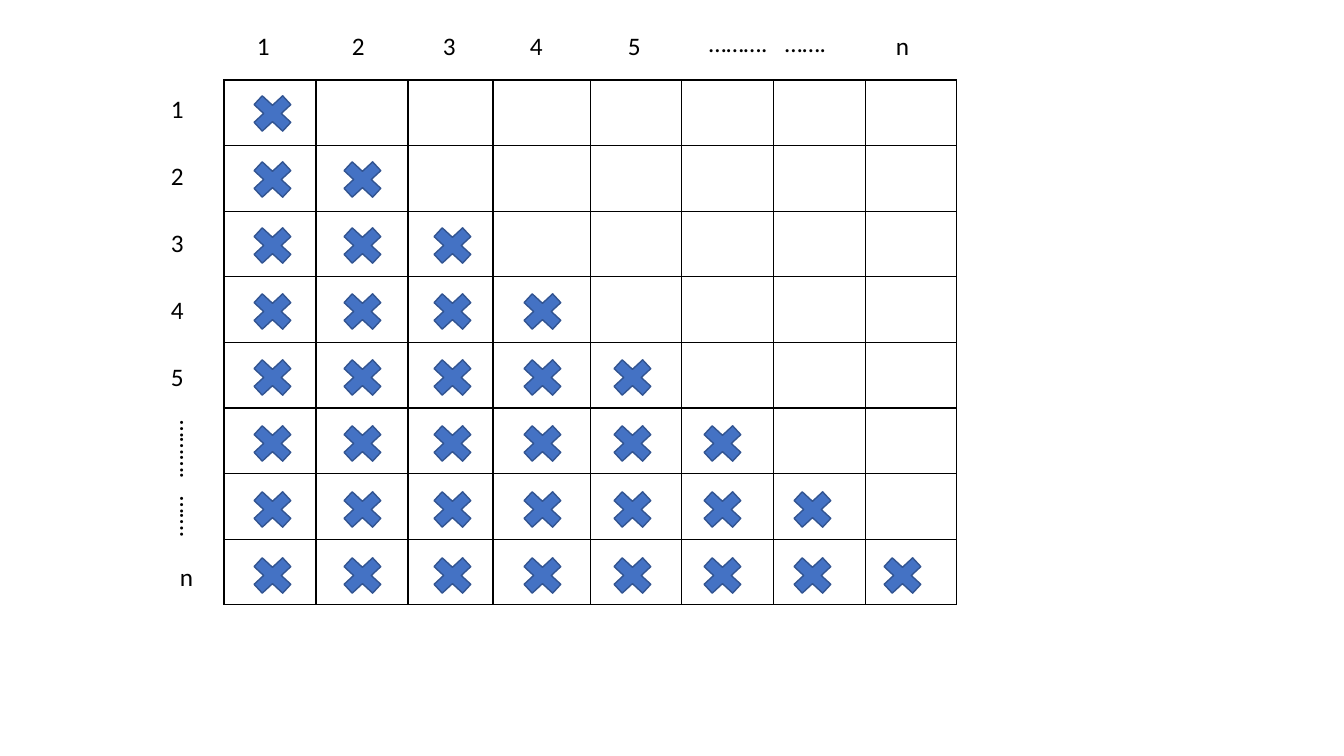
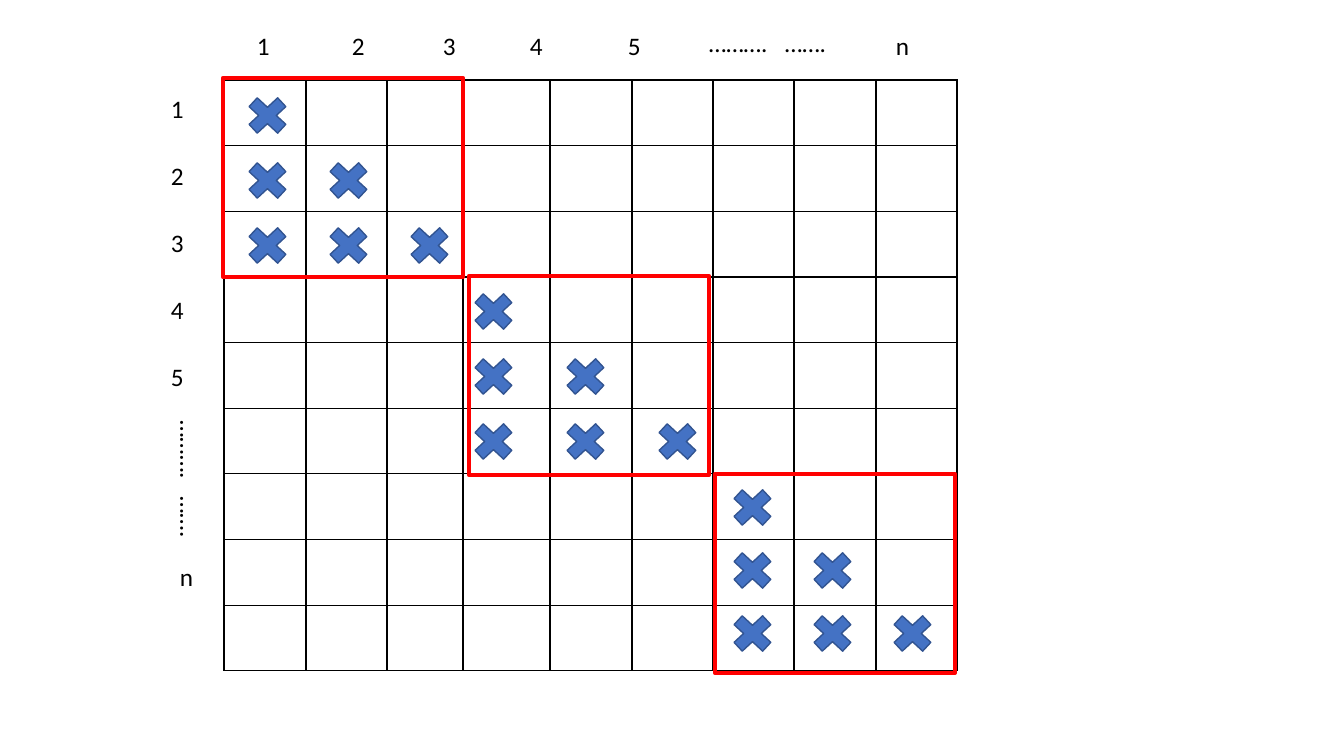
from typing import NamedTuple

from lxml import etree
from pptx import Presentation
from pptx.dml.color import RGBColor
from pptx.enum.shapes import MSO_SHAPE
from pptx.enum.text import MSO_AUTO_SIZE
from pptx.oxml.ns import qn
from pptx.util import Emu, Pt

CROSS = MSO_SHAPE.MATH_MULTIPLY
RECTANGLE = MSO_SHAPE.RECTANGLE
GROW = MSO_AUTO_SIZE.SHAPE_TO_FIT_TEXT

PIXEL = 9144000 / 1008
FONT = "Calibri"
COLORS = {"ink": "000000", "mark": "4472C4", "mark_edge": "325491", "frame": "FF0000"}

GRID_LEFT, GRID_TOP = 224, 80
MARK_WIDTH, MARK_HEIGHT = 55, 51

LABEL_WIDTH, LABEL_HEIGHT = 40, 40
COLUMN_LABEL_LEFTS = [247, 342, 433, 520, 618]
COLUMN_LABEL_TOP = 25
ROW_LABEL_LEFT, ROW_LABEL_TOP, ROW_LABEL_STEP = 161, 88, 67
LAST_COLUMN_LEFT = 886
LAST_ROW_LEFT, LAST_ROW_TOP = 170, 556

DOTS = "……….\t……."
DOTS_WIDTH, DOTS_TAB = 199, 76

FRAME_LEFT, FRAME_TOP = 223, 78
FRAME_WIDTH, FRAME_HEIGHT = 240, 199
FRAME_STEP_RIGHT, FRAME_STEP_DOWN = 246, 198


class Triangle(NamedTuple):
    """A lower triangle of crosses: first corner, steps and number of rows."""

    left: int
    top: int
    step_right: int
    step_down: int
    size: int

    def positions(self):
        """Yield the corner of each cross on or below the diagonal."""
        for row in range(self.size):
            for column in range(row + 1):
                yield (self.left + column * self.step_right,
                       self.top + row * self.step_down)


FULL_TRIANGLE = Triangle(245, 88, 90, 66, size=8)
DIAGONAL_BLOCKS = [
    Triangle(240, 90, 81, 65, size=3),
    Triangle(466, 286, 92, 65, size=3),
    Triangle(725, 482, 80, 63, size=3),
]


def px(length):
    """Turn pixels into EMU."""
    return Emu(round(length * PIXEL))


def color(name):
    """Look up a named colour."""
    return RGBColor.from_string(COLORS[name])


class MatrixDeck:
    """Holds the deck, its style and the current slide."""

    def __init__(self):
        """Start an empty widescreen deck."""
        self.deck = Presentation()
        self.deck.slide_width, self.deck.slide_height = px(1344), px(756)
        self.slide = None

    def add_slide(self):
        """Add a blank slide and make it current."""
        self.slide = self.deck.slides.add_slide(self.deck.slide_layouts[6])

    def border(self, cell):
        """Draw a thin line on all four sides of a cell."""
        properties = cell._tc.get_or_add_tcPr()
        for side in ("a:lnL", "a:lnR", "a:lnT", "a:lnB"):
            line = etree.SubElement(properties, qn(side), w=str(Pt(1)))
            fill = etree.SubElement(line, qn("a:solidFill"))
            etree.SubElement(fill, qn("a:srgbClr"), val=COLORS["ink"])

    def grid(self, column_widths, height):
        """Add an empty ruled table with as many equal rows as columns."""
        count = len(column_widths)
        table = self.slide.shapes.add_table(
            count, count, px(GRID_LEFT), px(GRID_TOP),
            px(sum(column_widths)), px(height)).table
        table.first_row = table.horz_banding = False
        for column, width in zip(table.columns, column_widths):
            column.width = px(width)
        for row in table.rows:
            row.height = px(height / count)
        for cell in table.iter_cells():
            self.border(cell)
            cell.fill.background()

    def shape(self, kind, bounds, line, weight, fill=None):
        """Add an outlined shape, hollow unless a fill is named."""
        shape = self.slide.shapes.add_shape(kind, *map(px, bounds))
        shape.shadow.inherit = False
        shape.line.color.rgb = color(line)
        shape.line.width = Pt(weight)
        if fill:
            shape.fill.solid()
            shape.fill.fore_color.rgb = color(fill)
        else:
            shape.fill.background()

    def crosses(self, triangle):
        """Mark every filled entry of a lower triangle."""
        for left, top in triangle.positions():
            bounds = (left, top, MARK_WIDTH, MARK_HEIGHT)
            self.shape(CROSS, bounds, "mark_edge", 1, "mark")

    def block_frame(self, index):
        """Frame one block, counted along the diagonal."""
        bounds = (FRAME_LEFT + index * FRAME_STEP_RIGHT,
                  FRAME_TOP + index * FRAME_STEP_DOWN,
                  FRAME_WIDTH, FRAME_HEIGHT)
        self.shape(RECTANGLE, bounds, "frame", 3)

    def label(self, text, left, top, width=LABEL_WIDTH, rotation=0):
        """Add a row or column label and return its paragraph."""
        box = self.slide.shapes.add_textbox(
            *map(px, (left, top, width, LABEL_HEIGHT)))
        box.rotation = rotation
        box.text_frame.word_wrap = True
        box.text_frame.auto_size = GROW
        para = box.text_frame.paragraphs[0]
        span = para.add_run()
        span.text = text
        span.font.name = FONT
        span.font.size = Pt(18)
        span.font.color.rgb = color("ink")
        return para

    def dots(self, left, top, rotation=0):
        """Add two groups of dots, set apart by a tab stop."""
        para = self.label(DOTS, left, top, DOTS_WIDTH, rotation)
        tabs = etree.SubElement(para._p.get_or_add_pPr(), qn("a:tabLst"))
        etree.SubElement(tabs, qn("a:tab"), pos=str(px(DOTS_TAB)), algn="l")

    def axis_labels(self):
        """Number the columns and rows 1 to 5, then dots, then n."""
        for index, column_left in enumerate(COLUMN_LABEL_LEFTS):
            number = str(index + 1)
            row_top = ROW_LABEL_TOP + index * ROW_LABEL_STEP
            self.label(number, column_left, COLUMN_LABEL_TOP)
            self.label(number, ROW_LABEL_LEFT, row_top)
        self.dots(699, 22)
        self.dots(91, 490, rotation=90)
        self.label("n", LAST_COLUMN_LEFT, COLUMN_LABEL_TOP)
        self.label("n", LAST_ROW_LEFT, LAST_ROW_TOP)

    def matrix_slide(self, column_widths, height):
        """Start a slide with a labelled empty matrix."""
        self.add_slide()
        self.grid(column_widths, height)
        self.axis_labels()


def full_triangle_slide(builder):
    """Show a matrix whose whole lower triangle is filled."""
    builder.matrix_slide([92, 92, 85, 98, 91, 92, 92, 91], 525)
    builder.crosses(FULL_TRIANGLE)


def diagonal_blocks_slide(builder):
    """Show a matrix with small framed triangles along the diagonal."""
    builder.matrix_slide([82, 81, 76, 87, 82, 81, 81, 82, 81], 591)
    for index, block in enumerate(DIAGONAL_BLOCKS):
        builder.crosses(block)
        builder.block_frame(index)


def main():
    """Build both slides and save the deck."""
    builder = MatrixDeck()
    full_triangle_slide(builder)
    diagonal_blocks_slide(builder)
    builder.deck.save("out.pptx")


main()
